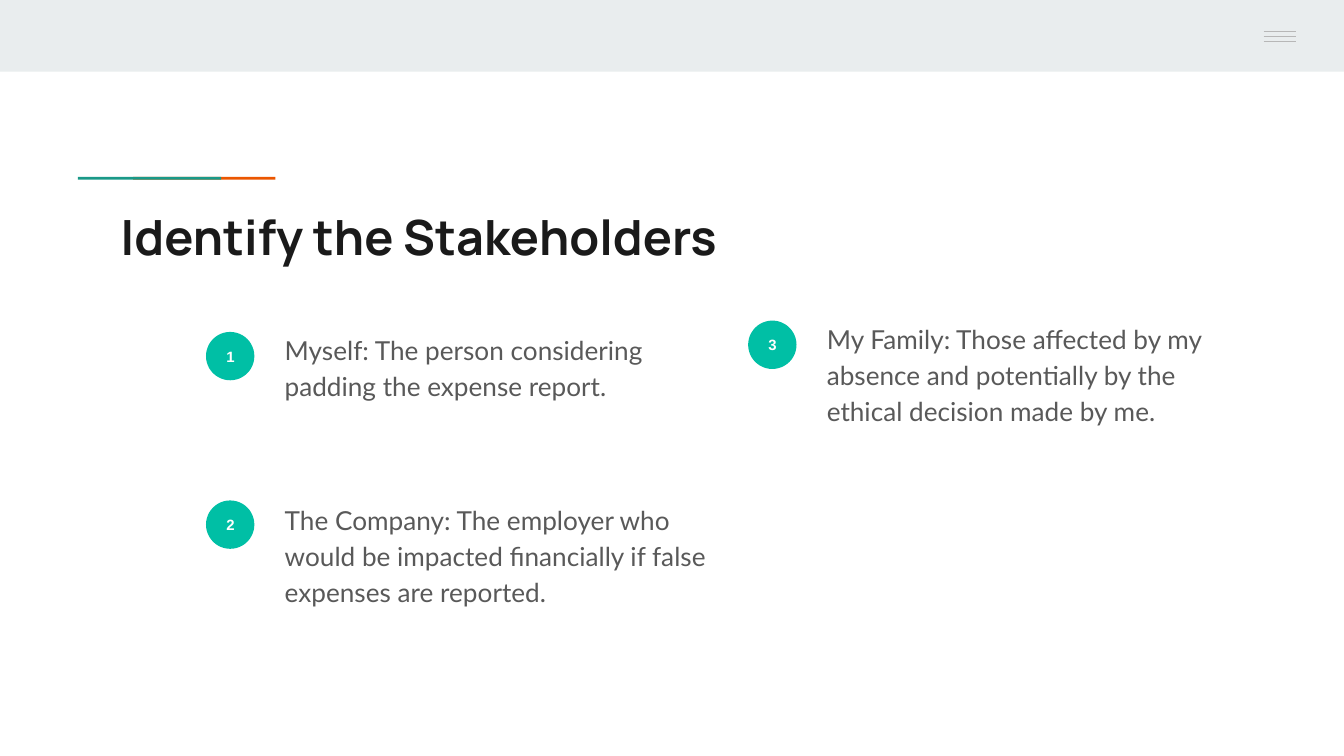
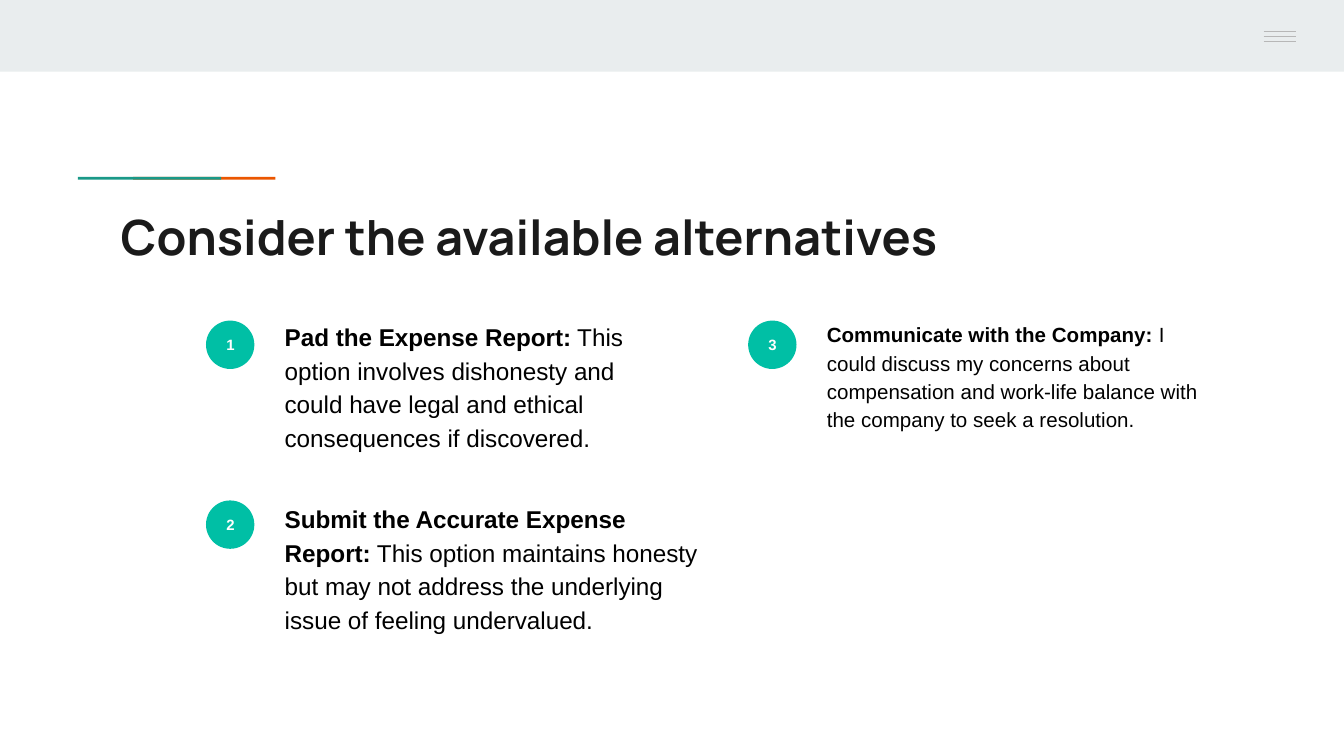
from lxml import etree
from pptx import Presentation, util as u
from pptx.dml.color import RGBColor
from pptx.enum import shapes, text
from pptx.oxml import ns

COLUMNS = 100
LEFT, RIGHT = 15.33, 55.67
MARKER = 3.6
TEXT_OFFSET = 4.87


def color(hex_string):
    return RGBColor.from_string(hex_string)


def write(shape, runs, font="Arial", size=8, fill="000000", align=None,
          anchor=text.MSO_ANCHOR.TOP, line_spacing=None, space_after=None):
    frame = shape.text_frame
    frame.word_wrap = True
    frame.vertical_anchor = anchor
    frame.margin_left = frame.margin_right = u.Inches(0.1)
    frame.margin_top = frame.margin_bottom = u.Inches(0.1)
    paragraph = frame.paragraphs[0]
    paragraph.alignment = align
    paragraph.line_spacing = line_spacing
    paragraph.space_after = space_after
    for content, bold in runs:
        run = paragraph.add_run()
        run.text = content
        run.font.name = font
        run.font.size = u.Pt(size)
        run.font.bold = bold
        run.font.color.rgb = color(fill)


class Deck:
    band = "E9EDEE"
    menu = "B7B7B7"
    orange = "EB5600"
    green = "1A9988"
    teal = "00BFA5"
    ink = "1A1A1A"

    def __init__(self):
        self.presentation = Presentation()
        self.presentation.slide_width = u.Inches(10)
        self.presentation.slide_height = u.Inches(10) * 9 // 16
        self.cell = self.presentation.slide_width / COLUMNS
        self.slide = None

    def grid(self, *cells):
        return [round(count * self.cell) for count in cells]

    def add_slide(self, title):
        self.slide = self.presentation.slides.add_slide(self.presentation.slide_layouts[6])
        self.block(0, 0, COLUMNS, 5.33, self.band)
        self.block(9.9, 13.17, 10.6, 0.2, self.orange)
        self.block(5.8, 13.17, 10.65, 0.2, self.green)
        self.block(90.6, 0, 9.4, 5, self.band)
        for index in range(3):
            self.line(94.03, 96.43, 2.37 + index * 0.36)
        self.text_box(8, 14.4, 84.1, 5.9, [(title, True)],
                      font="Manrope", size=26, fill=self.ink)

    def block(self, column, row, width, height, fill, kind=shapes.MSO_SHAPE.RECTANGLE):
        shape = self.slide.shapes.add_shape(kind, *self.grid(column, row, width, height))
        shape.shadow.inherit = False
        shape.fill.solid()
        shape.fill.fore_color.rgb = color(fill)
        shape.line.fill.background()
        return shape

    def line(self, start, end, row):
        connector = self.slide.shapes.add_connector(
            shapes.MSO_CONNECTOR.STRAIGHT, *self.grid(start, row, end, row))
        connector.line.color.rgb = color(self.menu)
        connector.line.width = u.Pt(0.75)
        etree.SubElement(connector._element.spPr, ns.qn("a:effectLst"))

    def text_box(self, column, row, width, height, runs, **style):
        box = self.slide.shapes.add_textbox(*self.grid(column, row, width, height))
        write(box, runs, **style)

    def marker(self, column, row, number):
        circle = self.block(column, row, MARKER, MARKER, self.teal, shapes.MSO_SHAPE.OVAL)
        write(circle, [(str(number), True)], fill="FFFFFF",
              align=text.PP_ALIGN.CENTER, anchor=text.MSO_ANCHOR.MIDDLE)

    def item(self, number, column, marker_row, text_row, width, height, runs, **style):
        self.marker(column, marker_row, number)
        self.text_box(column + TEXT_OFFSET, text_row, width, height, runs,
                      line_spacing=1.15, space_after=u.Pt(16), **style)

    def save(self):
        self.presentation.save("out.pptx")


STAKEHOLDERS = [
    (LEFT, 24.7, 23.54, 31, 11.5,
     "Myself: The person considering padding the expense report."),
    (LEFT, 37.24, 36.2, 34.5, 11.5,
     "The Company: The employer who would be impacted financially if false expenses are reported."),
    (RIGHT, 23.86, 22.7, 31, 11.5,
     "My Family: Those affected by my absence and potentially by the ethical decision made by me."),
]

ALTERNATIVES = [
    (LEFT, 23.86, 22.67, 31, 13.2, 13, "Pad the Expense Report:",
     " This option involves dishonesty and could have legal and ethical consequences if discovered."),
    (LEFT, 37.24, 36.2, 33.5, 15.9, 13, "Submit the Accurate Expense Report:",
     " This option maintains honesty but may not address the underlying issue of feeling undervalued."),
    (RIGHT, 23.86, 22.7, 31, 11.5, 11, "Communicate with the Company:",
     " I could discuss my concerns about compensation and work-life balance with the company"
     " to seek a resolution."),
]


def main():
    deck = Deck()
    deck.add_slide("Identify the Stakeholders")
    for number, (*place, description) in enumerate(STAKEHOLDERS, 1):
        deck.item(number, *place, [(description, False)], font="Lato", size=14, fill="595959")
    deck.add_slide("Consider the available alternatives")
    for number, (*place, size, heading, description) in enumerate(ALTERNATIVES, 1):
        deck.item(number, *place, [(heading, True), (description, False)], size=size)
    deck.save()


if __name__ == "__main__":
    main()
